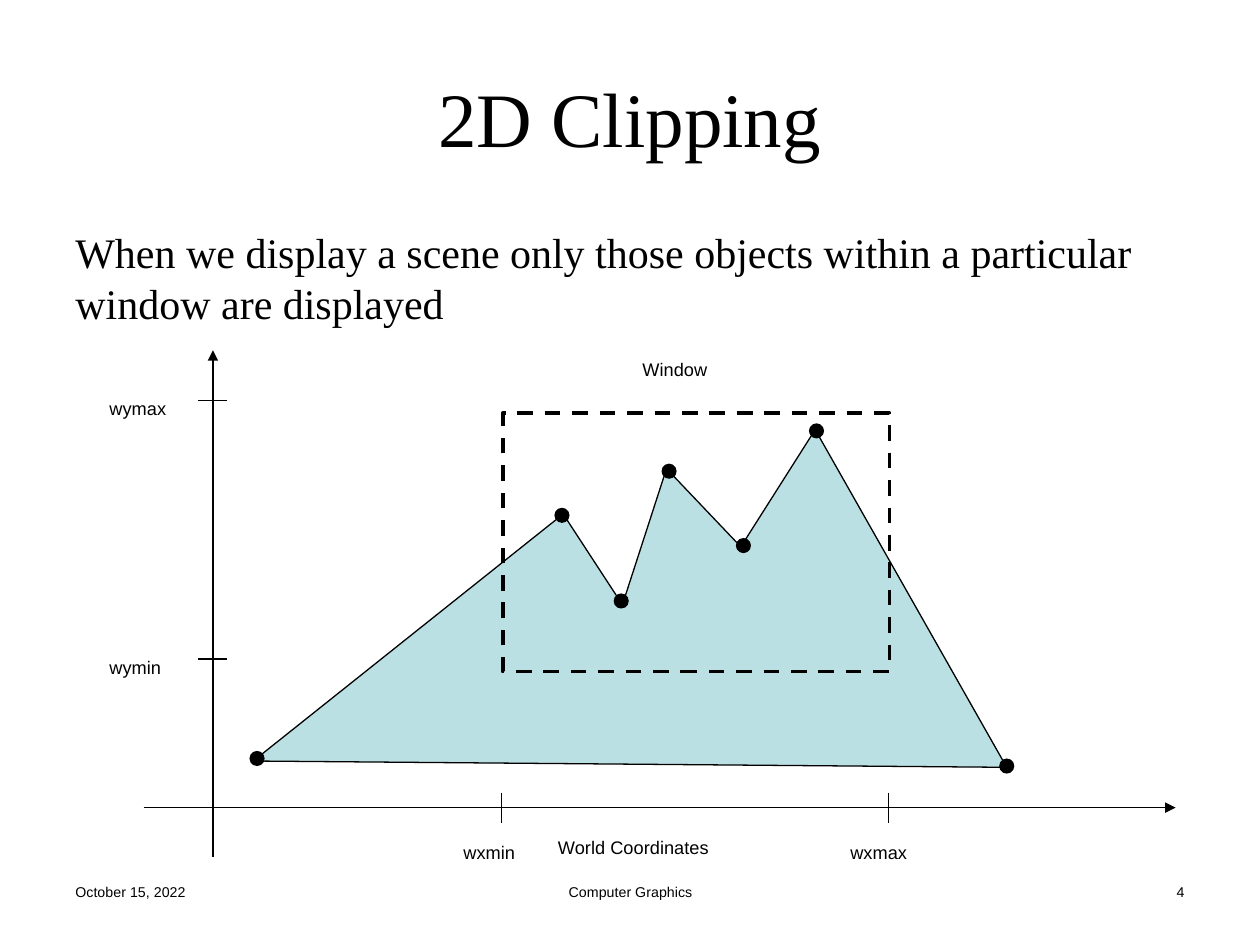
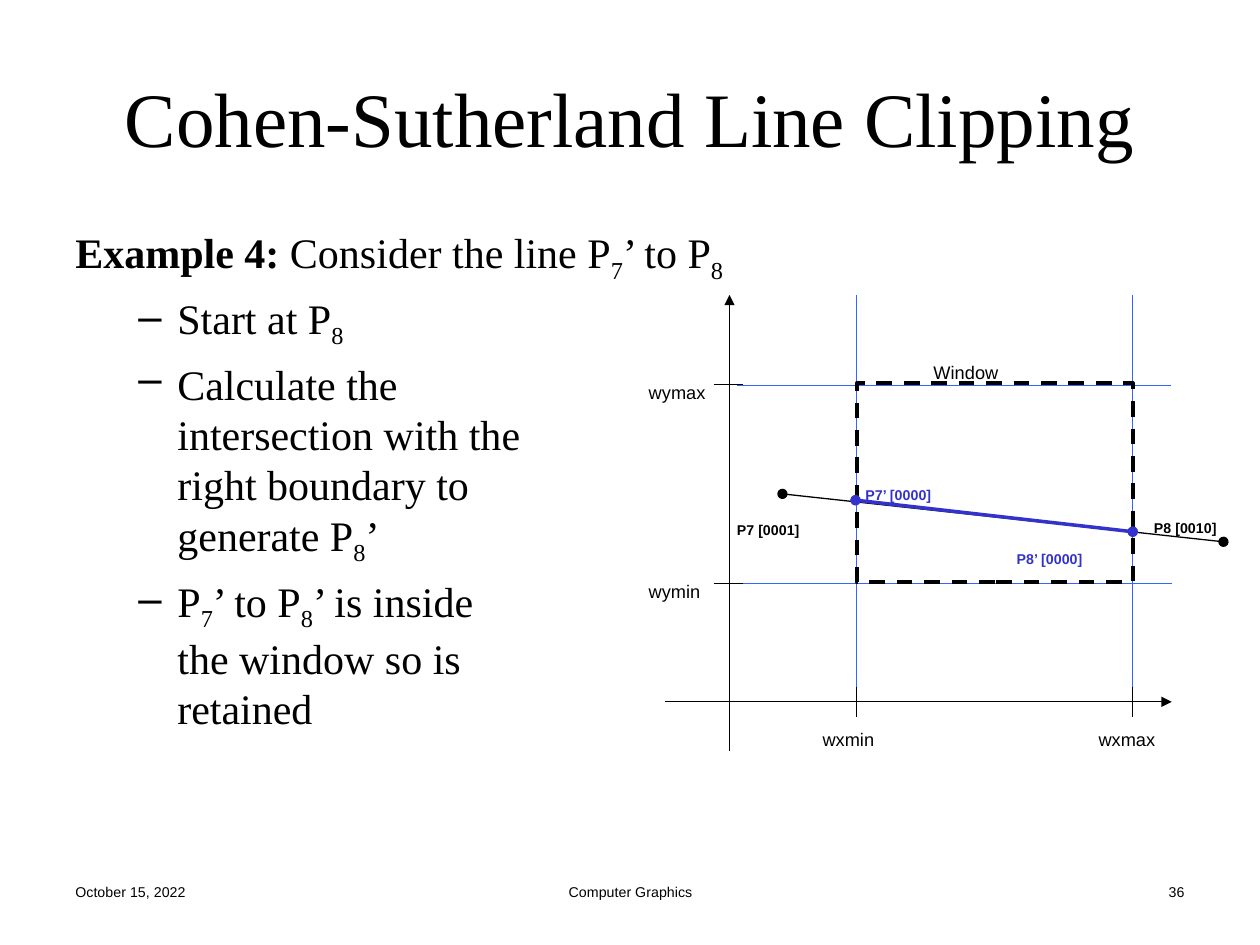
"""Build two slides on 2D clipping, each with a world-coordinate diagram."""
from dataclasses import dataclass

from lxml import etree
from pptx import Presentation
from pptx import util as u
from pptx.dml.color import RGBColor
from pptx.enum import dml, shapes, text
from pptx.oxml import ns


@dataclass(frozen=True)
class Theme:
    serif: str = "Times New Roman"
    sans: str = "Arial"
    black: str = "000000"
    guide: str = "3366FF"
    accent: str = "3333CC"
    polygon: str = "BBE0E3"
    title: int = 44
    body: int = 24
    label: int = 18
    small: int = 14
    thin: float = 0.75
    thick: float = 2.25
    paragraph_gap: float = 4.8


theme = Theme()
LEFT, CENTER, RIGHT = text.PP_ALIGN.LEFT, text.PP_ALIGN.CENTER, text.PP_ALIGN.RIGHT


def write(page, content, at, font=theme.sans, size=theme.label, color=theme.black,
          bold=False, align=LEFT, anchor=text.MSO_ANCHOR.TOP, lowered=True, lead=""):
    """Write lines as paragraphs; / breaks a line, _x_ lowers x, later paragraphs get dashes."""
    box = page.shapes.add_textbox(*[u.Inches(length) for length in at])
    frame = box.text_frame
    frame.word_wrap = True
    frame.vertical_anchor = anchor
    for index, line in enumerate(content.split("\n")):
        para = frame.add_paragraph() if index else frame.paragraphs[0]
        para.alignment = align
        if index:
            properties = para._p.get_or_add_pPr()
            properties.set("marL", str(u.Inches(0.81)))
            properties.set("indent", str(u.Inches(-0.31)))
            etree.SubElement(properties, ns.qn("a:buChar"), char="–")
            para.space_before = u.Pt(theme.paragraph_gap)
        pieces = [(lead, True, False)] if lead and not index else []
        for position, piece in enumerate(line.split("_")):
            pieces.append((piece, bold, lowered or position % 2 == 1))
        for piece, strong, low in pieces:
            for row, words in enumerate(piece.split("/")):
                if row:
                    para.add_line_break()
                if not words:
                    continue
                span = para.add_run()
                span.text = words
                span.font.name = font
                span.font.size = u.Pt(size)
                span.font.bold = strong
                span.font.color.rgb = RGBColor.from_string(color)
                if low:
                    span._r.get_or_add_rPr().set("baseline", "-25000")


def connect(page, start, end, color=theme.black, width=theme.thin, head=None, tail=None):
    """Draw a straight line with optional end marks."""
    line = page.shapes.add_connector(
        shapes.MSO_CONNECTOR.STRAIGHT, *[u.Inches(value) for value in (*start, *end)])
    line.line.color.rgb = RGBColor.from_string(color)
    line.line.width = u.Pt(width)
    outline = line.line._get_or_add_ln()
    for tag, mark in (("a:headEnd", head), ("a:tailEnd", tail)):
        if mark:
            etree.SubElement(outline, ns.qn(tag), type=mark)
    etree.SubElement(line._element.spPr, ns.qn("a:effectLst"))


scenes = [
    dict(
        number="4", title="2D Clipping", lead="", body_height=1.18,
        body="When we display a scene only those objects within a particular "
             "window are displayed",
        polygon=[(2.01, 6.04), (4.47, 4.08), (4.94, 4.8), (5.29, 3.72),
                 (5.88, 4.34), (6.47, 3.41), (7.99, 6.09)],
        guides=[],
        origin=(1.69, 6.41), x_axis=(1.14, 9.33), y_axis=(6.8, 2.78),
        window=(3.99, 3.28, 3.07, 2.05),
        x_ticks=(3.98, 7.05), y_ticks=(5.23, 3.18),
        y_label_left=0.77, x_label_shift=0.4, x_label_top=6.46,
        captions=[("Window", 5, 2.63), ("World Coordinates", 4.33, 6.42)],
        points=[], segments=[],
        dots=[(4.46, 4.09), (2.04, 6.02), (4.93, 4.77), (5.31, 3.74),
              (5.9, 4.33), (6.48, 3.42), (7.99, 6.08)],
        dot_size=0.12, dot_color=theme.black,
    ),
    dict(
        number="36", title="Cohen-Sutherland Line Clipping",
        lead="Example 4: ", body_height=4.95,
        body="Consider the line P_7_’ to P_8_\n"
             "Start at P_8_\n"
             "Calculate the /intersection with the /right boundary to /generate P_8_’\n"
             "P_7_’ to P_8_’ is inside /the window so is /retained",
        polygon=[],
        guides=[((6.8, 2.34), (6.8, 5.48)), ((8.99, 2.34), (8.99, 5.52)),
                ((9.29, 3.06), (5.85, 3.06)), ((9.3, 4.63), (5.89, 4.63))],
        origin=(5.79, 5.57), x_axis=(5.28, 9.3), y_axis=(5.96, 2.34),
        window=(6.8, 3.04, 2.19, 1.58),
        x_ticks=(6.8, 8.99), y_ticks=(4.63, 3.05),
        y_label_left=5.05, x_label_shift=0.37, x_label_top=5.56,
        captions=[("Window", 7.31, 2.65)],
        points=[("P7’ [0000]", 6.77, 3.68, theme.accent),
                ("P7 [0001]", 5.75, 3.96, theme.black),
                ("P8 [0010]", 9.06, 3.94, theme.black),
                ("P8’ [0000]", 7.97, 4.19, theme.accent)],
        segments=[((6.21, 3.92), (9.71, 4.3), theme.black, theme.thin),
                  ((6.79, 3.97), (8.99, 4.22), theme.accent, 2)],
        dots=[(6.79, 3.97), (8.99, 4.22)],
        dot_size=0.08, dot_color=theme.accent,
    ),
]

deck = Presentation()
deck.slide_width, deck.slide_height = u.Inches(10), u.Inches(7.5)

for scene in scenes:
    page = deck.slides.add_slide(deck.slide_layouts[6])

    for content, left, width, align in (
        ("October 15, 2022", 0.5, 2.33, LEFT),
        ("Computer Graphics", 3.42, 3.17, CENTER),
        (scene["number"], 7.17, 2.33, RIGHT),
    ):
        write(page, content, (left, 6.83, width, 0.52), size=theme.small, align=align)
    write(page, scene["title"], (0.5, 0.3, 9, 1.25), font=theme.serif, size=theme.title,
          align=CENTER, anchor=text.MSO_ANCHOR.MIDDLE, lowered=False)
    write(page, scene["body"], (0.5, 1.75, 9, scene["body_height"]), font=theme.serif,
          size=theme.body, lowered=False, lead=scene["lead"])

    if scene["polygon"]:
        corners = [(u.Inches(x), u.Inches(y)) for x, y in scene["polygon"]]
        builder = page.shapes.build_freeform(*corners[0])
        builder.add_line_segments(corners[1:], close=True)
        polygon = builder.convert_to_shape()
        polygon.shadow.inherit = False
        polygon.fill.solid()
        polygon.fill.fore_color.rgb = RGBColor.from_string(theme.polygon)
        polygon.line.color.rgb = RGBColor.from_string(theme.black)
        polygon.line.width = u.Pt(theme.thin)
    for start, end in scene["guides"]:
        connect(page, start, end, color=theme.guide)

    origin_x, origin_y = scene["origin"]
    first_x, last_x = scene["x_axis"]
    first_y, last_y = scene["y_axis"]
    connect(page, (first_x, origin_y), (last_x, origin_y), tail="triangle")
    connect(page, (origin_x, first_y), (origin_x, last_y), tail="triangle")

    window = page.shapes.add_shape(
        shapes.MSO_SHAPE.RECTANGLE, *[u.Inches(length) for length in scene["window"]])
    window.shadow.inherit = False
    window.fill.background()
    window.line.color.rgb = RGBColor.from_string(theme.black)
    window.line.width = u.Pt(theme.thick)
    window.line.dash_style = dml.MSO_LINE.DASH

    for suffix, width, x, y in zip(("min", "max"), (0.77, 0.82),
                                   scene["x_ticks"], scene["y_ticks"]):
        connect(page, (origin_x + 0.11, y), (origin_x - 0.12, y))
        connect(page, (x, origin_y - 0.12), (x, origin_y + 0.12))
        write(page, "wy" + suffix, (scene["y_label_left"], y - 0.24, width, 0.4))
        write(page, "wx" + suffix,
              (x - scene["x_label_shift"], scene["x_label_top"], width, 0.4))

    for content, left, top in scene["captions"]:
        write(page, content, (left, top, 1.09 if content == "Window" else 2.27, 0.4))
    for content, left, top, color in scene["points"]:
        write(page, content, (left, top, 1.07, 0.33), size=theme.small,
              color=color, bold=True)

    for start, end, color, width in scene["segments"]:
        connect(page, start, end, color=color, width=width, head="oval", tail="oval")
    size = scene["dot_size"]
    for x, y in scene["dots"]:
        dot = page.shapes.add_shape(
            shapes.MSO_SHAPE.OVAL,
            *[u.Inches(length) for length in (x - size / 2, y - size / 2, size, size)])
        dot.shadow.inherit = False
        dot.fill.solid()
        dot.fill.fore_color.rgb = RGBColor.from_string(scene["dot_color"])
        dot.line.fill.background()

deck.save("out.pptx")
